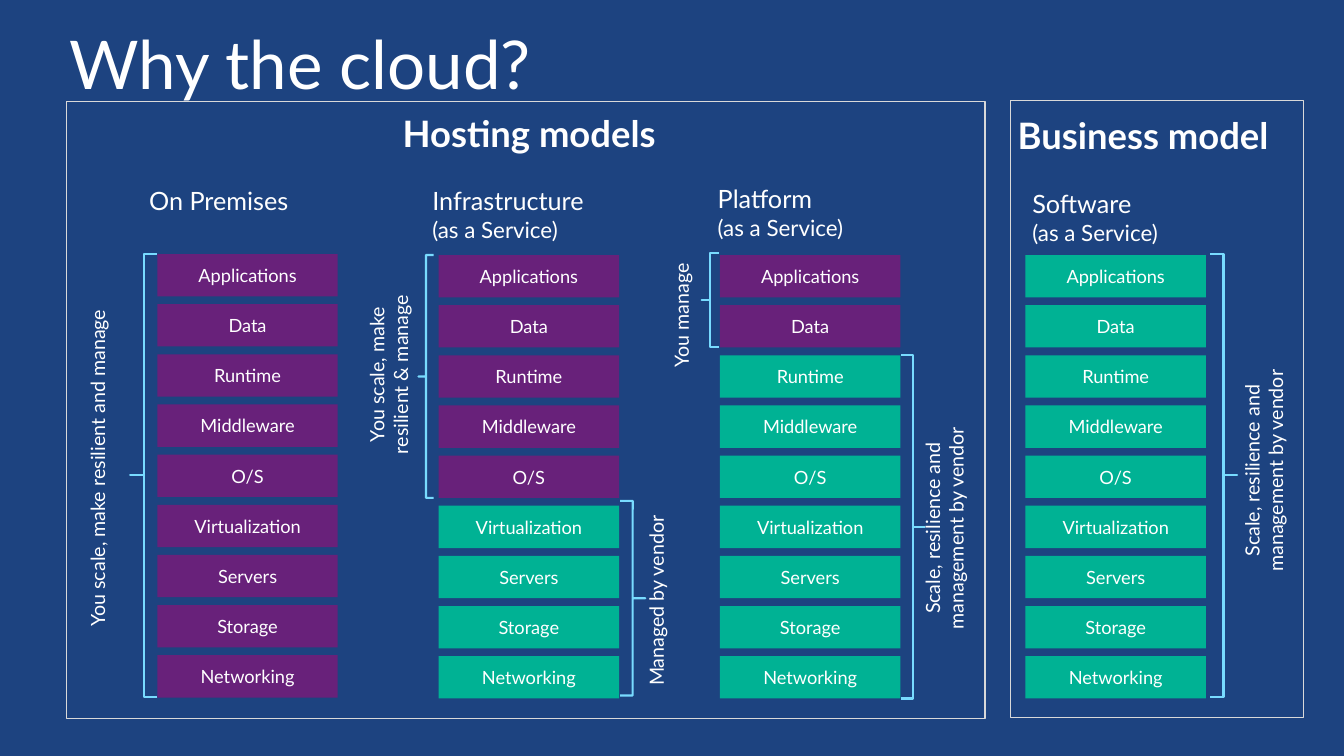
from pptx import Presentation
from pptx.dml.color import RGBColor
from pptx.enum.shapes import MSO_SHAPE
from pptx.enum.text import MSO_ANCHOR, MSO_AUTO_SIZE, PP_ALIGN
from pptx.util import Inches, Pt

RECT = MSO_SHAPE.RECTANGLE
LEFT_BRACE = MSO_SHAPE.LEFT_BRACE
RIGHT_BRACE = MSO_SHAPE.RIGHT_BRACE
LEFT = PP_ALIGN.LEFT
CENTER = PP_ALIGN.CENTER
MIDDLE = MSO_ANCHOR.MIDDLE
GROW = MSO_AUTO_SIZE.SHAPE_TO_FIT_TEXT

NAVY = RGBColor(0x1D, 0x43, 0x80)
WHITE = RGBColor(0xFF, 0xFF, 0xFF)
GRAY = RGBColor(0xD9, 0xD9, 0xD9)
PURPLE = RGBColor(0x68, 0x21, 0x7A)
GREEN = RGBColor(0x00, 0xB2, 0x94)
SKY = RGBColor(0x78, 0xDB, 0xFF)

LAYERS = ["Applications", "Data", "Runtime", "Middleware", "O/S",
          "Virtualization", "Servers", "Storage", "Networking"]
BAR_WIDTH, BAR_HEIGHT = 1.79, 0.42
BAR_PITCH = (6.51 - 2.53) / (len(LAYERS) - 1)

prs = Presentation()
prs.slide_width = Inches(13.33)
prs.slide_height = Inches(7.5)
s = prs.slides.add_slide(prs.slide_layouts[6])
s.background.fill.solid()
s.background.fill.fore_color.rgb = NAVY


def add_shape(kind, box, fill=None, line=None, width=1):
    sp = s.shapes.add_shape(kind, *[Inches(v) for v in box])
    sp.shadow.inherit = False
    if fill is None:
        sp.fill.background()
    else:
        sp.fill.solid()
        sp.fill.fore_color.rgb = fill
    if line is None:
        sp.line.fill.background()
    else:
        sp.line.color.rgb = line
        sp.line.width = Pt(width)
    return sp


def set_text(sp, text, sizes, align=CENTER, inset=0, bold=None):
    tf = sp.text_frame
    tf.text = text
    tf.word_wrap = True
    tf.margin_left = tf.margin_right = Inches(inset)
    for p, size in zip(tf.paragraphs, sizes):
        p.alignment = align
        for r in p.runs:
            r.font.name = "Lato"
            r.font.size = Pt(size)
            r.font.bold = bold
            r.font.color.rgb = WHITE
    return tf


for frame in [(0.66, 1.01, 9.11, 6.12), (10.02, 1, 2.91, 6.12)]:
    add_shape(RECT, frame, line=GRAY)

headings = [
    ("Hosting models", (0.97, 1.1, 8.56, 0.7), [26], CENTER, 0, True),
    ("Business model", (9.77, 1.12, 3.14, 0.7), [26], CENTER, 0, True),
    ("On Premises", (1.15, 1.84, 2.04, 0.7), [18], CENTER, 0, None),
    ("Infrastructure\n(as a Service)", (4.19, 1.84, 2.84, 0.7), [18, 16], LEFT, 0.1, None),
    ("Platform\n(as a Service)", (7.02, 1.82, 2.82, 0.7), [18, 16], LEFT, 0.1, None),
    ("Software\n(as a Service)", (10.16, 1.87, 2.66, 0.7), [18, 16], LEFT, 0.08, None),
]
for text, box, sizes, align, inset, bold in headings:
    sp = s.shapes.add_textbox(*[Inches(v) for v in box])
    tf = set_text(sp, text, sizes, align, inset, bold)
    tf.margin_top = tf.margin_bottom = 0

stacks = [(1.56, 2.52, 9), (4.35, 2.53, 5), (7.14, 2.53, 2), (10.17, 2.53, 0)]
for x, top, own_layers in stacks:
    for i, layer in enumerate(LAYERS):
        fill = PURPLE if i < own_layers else GREEN
        box = (x, top + i * BAR_PITCH, BAR_WIDTH, BAR_HEIGHT)
        tf = set_text(add_shape(RECT, box, fill=fill), layer, [13])
        tf.vertical_anchor = MIDDLE

braces = [
    (LEFT_BRACE, (1.29, 2.52, 0.27, 4.39)),
    (LEFT_BRACE, (4.15, 2.53, 0.15, 2.41)),
    (RIGHT_BRACE, (6.15, 4.97, 0.25, 1.93)),
    (LEFT_BRACE, (6.96, 2.51, 0.17, 0.93)),
    (RIGHT_BRACE, (8.94, 3.52, 0.23, 3.41)),
    (RIGHT_BRACE, (12, 2.52, 0.27, 4.39)),
]
for kind, box in braces:
    sp = add_shape(kind, box, line=SKY, width=1.5)
    sp.adjustments[0] = 0
    sp.adjustments[1] = 0.5

VENDOR = "Scale, resilience and\nmanagement by vendor"
side_labels = [
    ("You scale, make resilient and manage", (0.8, 2.94, 0.44, 3.41)),
    ("You scale, make\nresilient & manage", (3.57, 2.85, 0.67, 1.73)),
    ("Managed by vendor", (6.34, 5.04, 0.44, 1.84)),
    ("You manage", (6.59, 2.53, 0.44, 1.2)),
    (VENDOR, (9.08, 4.16, 0.67, 2.16)),
    (VENDOR, (12.25, 3.59, 0.67, 2.16)),
]
for text, box in side_labels:
    sp = s.shapes.add_textbox(*[Inches(v) for v in box])
    tf = set_text(sp, text, [14, 14], inset=0.1)
    tf.word_wrap = False
    tf.auto_size = GROW
    tf._txBody.bodyPr.set("vert", "vert270")

sp = s.shapes.add_textbox(Inches(0.59), Inches(0.17), Inches(4.84), Inches(0.91))
tf = set_text(sp, "Why the cloud?", [48], LEFT, 0.1)
tf.word_wrap = False
tf.auto_size = GROW
tf.paragraphs[0].space_before = Pt(18)

prs.save("out.pptx")
